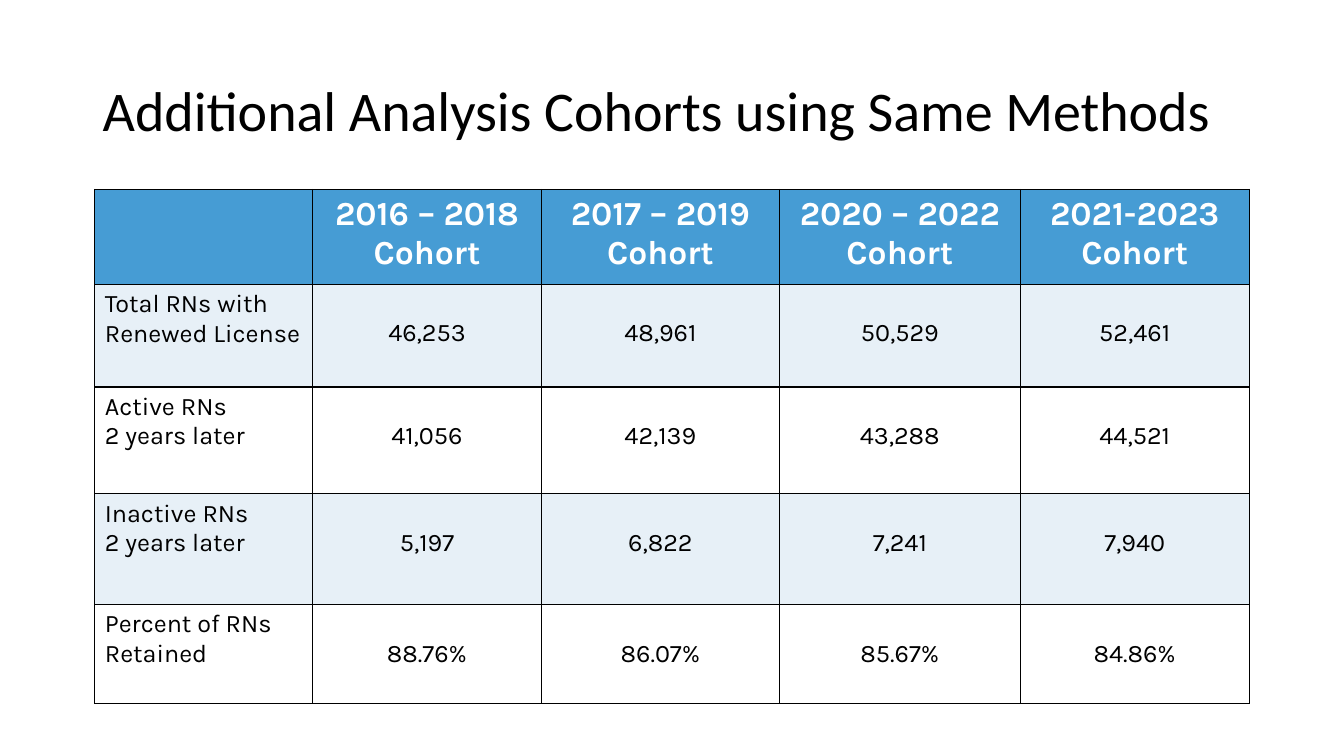
from lxml.etree import SubElement
from pptx import Presentation
from pptx.dml.color import RGBColor
from pptx.enum.text import MSO_ANCHOR, PP_ALIGN
from pptx.oxml.ns import qn
from pptx.util import Inches, Pt

BLACK = RGBColor(0x00, 0x00, 0x00)
WHITE = RGBColor(0xFF, 0xFF, 0xFF)
BLUE = RGBColor(0x46, 0x9C, 0xD4)
PALE = RGBColor(0xE7, 0xF0, 0xF7)

COL_WIDTHS = [2.16, 2.27, 2.36, 2.39, 2.27]
ROW_HEIGHTS = [0.94, 1.02, 1.06, 1.1, 0.98]
ROWS = [
    ["", "2016 – 2018 Cohort", "2017 – 2019 Cohort", "2020 – 2022 Cohort", "2021-2023 Cohort"],
    ["Total RNs with Renewed License", "46,253", "48,961", "50,529", "52,461"],
    ["Active RNs\n2 years later", "41,056", "42,139", "43,288", "44,521"],
    ["Inactive RNs\n2 years later", "5,197", "6,822", "7,241", "7,940"],
    ["Percent of RNs Retained", "88.76%", "86.07%", "85.67%", "84.86%"],
]


def style_font(font, name, size, color, bold=False):
    font.name = name
    font.size = Pt(size)
    font.color.rgb = color
    font.bold = bold


def add_title(s, text):
    tf = s.shapes.add_textbox(Inches(0.92), Inches(0.4), Inches(11.5), Inches(1.45)).text_frame
    tf.word_wrap = True
    tf.vertical_anchor = MSO_ANCHOR.MIDDLE
    p = tf.paragraphs[0]
    p.text = text
    p.line_spacing = 0.9
    style_font(p.font, "Calibri", 40, BLACK)


def add_borders(cell):
    tc_pr = cell._tc.get_or_add_tcPr()
    for side in ("a:lnL", "a:lnR", "a:lnT", "a:lnB"):
        ln = SubElement(tc_pr, qn(side), w=str(Pt(1)))
        fill = SubElement(ln, qn("a:solidFill"))
        SubElement(fill, qn("a:srgbClr"), val=str(BLACK))


def fill_cell(cell, text, row, col):
    header = row == 0
    add_borders(cell)
    cell.fill.solid()
    cell.fill.fore_color.rgb = BLUE if header else PALE if row % 2 else WHITE
    if not header and col:
        cell.margin_top = Inches(0.34)
    cell.text = text
    for p in cell.text_frame.paragraphs:
        p.alignment = PP_ALIGN.CENTER if col else PP_ALIGN.LEFT
        style_font(p.font, "Karla", 24 if header else 18, WHITE if header else BLACK, header)


def add_cohort_table(s):
    table = s.shapes.add_table(
        len(ROWS), len(COL_WIDTHS), Inches(0.94), Inches(1.88),
        Inches(sum(COL_WIDTHS)), Inches(sum(ROW_HEIGHTS))).table
    for column, width in zip(table.columns, COL_WIDTHS):
        column.width = Inches(width)
    for row, height in zip(table.rows, ROW_HEIGHTS):
        row.height = Inches(height)
    for r, texts in enumerate(ROWS):
        for c, text in enumerate(texts):
            fill_cell(table.cell(r, c), text, r, c)


def main():
    prs = Presentation()
    prs.slide_width, prs.slide_height = Inches(13.33), Inches(7.5)
    s = prs.slides.add_slide(prs.slide_layouts[6])
    add_title(s, "Additional Analysis Cohorts using Same Methods")
    add_cohort_table(s)
    prs.save("out.pptx")


if __name__ == "__main__":
    main()
